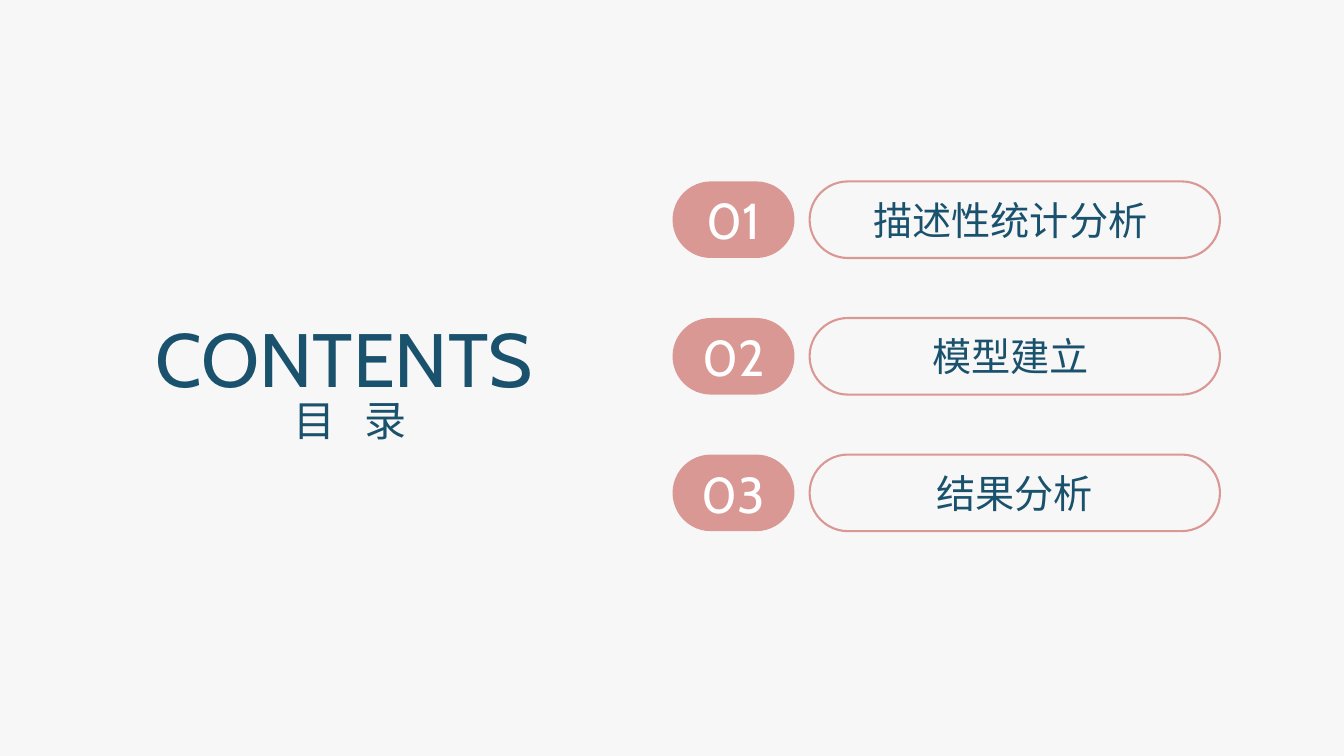
from dataclasses import dataclass

from pptx import Presentation
from pptx.dml.color import RGBColor
from pptx.enum.shapes import MSO_SHAPE
from pptx.enum.text import MSO_ANCHOR, PP_ALIGN
from pptx.util import Inches, Pt

ROUNDED = MSO_SHAPE.ROUNDED_RECTANGLE
CENTER = PP_ALIGN.CENTER
MIDDLE = MSO_ANCHOR.MIDDLE
TOP = MSO_ANCHOR.TOP


@dataclass(frozen=True)
class Theme:
    font: str = "Cabin"
    background: RGBColor = RGBColor(0xF7, 0xF7, 0xF7)
    pink: RGBColor = RGBColor(0xD9, 0x98, 0x94)
    navy: RGBColor = RGBColor(0x1A, 0x52, 0x6D)
    white: RGBColor = RGBColor(0xFF, 0xFF, 0xFF)
    title_size: int = 54
    number_size: int = 36
    subtitle_size: int = 30
    entry_size: int = 28
    outline_width: float = 1.5


THEME = Theme()
ENTRIES = ["描述性统计分析 ", "模型建立 ", "结果分析"]
FIRST_TOP = 1.8
ROW_PITCH = 1.355
PILL_HEIGHT = 0.76


def write_text(shape, text, *, size, color=THEME.navy, anchor=MIDDLE, spacing=0):
    """Fill a shape with one centred line; spacing is extra points per letter."""
    frame = shape.text_frame
    frame.word_wrap = True
    frame.vertical_anchor = anchor
    paragraph = frame.paragraphs[0]
    paragraph.alignment = CENTER
    run = paragraph.add_run()
    run.text = text
    run.font.name = THEME.font
    run.font.size = Pt(size)
    run.font.color.rgb = color
    if spacing:
        run.font._element.set("spc", str(spacing * 100))


def add_pill(group, left, top, width, *, filled):
    pill = group.shapes.add_shape(
        ROUNDED, Inches(left), Inches(top), Inches(width), Inches(PILL_HEIGHT)
    )
    pill.adjustments[0] = 0.5
    pill.shadow.inherit = False
    if filled:
        pill.fill.solid()
        pill.fill.fore_color.rgb = THEME.pink
        pill.line.fill.background()
    else:
        pill.fill.background()
        pill.line.color.rgb = THEME.pink
        pill.line.width = Pt(THEME.outline_width)
    return pill


def add_entry(slide, index, label):
    """Add one numbered row of the contents list."""
    group = slide.shapes.add_group_shape()
    top = FIRST_TOP + index * ROW_PITCH
    number = add_pill(group, 6.67, top, 1.21, filled=True)
    write_text(number, f"{index + 1:02d}", size=THEME.number_size, color=THEME.white)
    outline = add_pill(group, 8.03, top, 4.07, filled=False)
    write_text(outline, label, size=THEME.entry_size)


def add_heading(group, text, left, top, width, height, **text_format):
    box = group.shapes.add_textbox(
        Inches(left), Inches(top), Inches(width), Inches(height)
    )
    write_text(box, text, anchor=TOP, **text_format)


def main():
    presentation = Presentation()
    presentation.slide_width = Inches(13.33)
    presentation.slide_height = Inches(7.5)
    slide = presentation.slides.add_slide(presentation.slide_layouts[6])
    slide.background.fill.solid()
    slide.background.fill.fore_color.rgb = THEME.background

    for index, label in enumerate(ENTRIES):
        add_entry(slide, index, label)

    headings = slide.shapes.add_group_shape()
    add_heading(headings, "CONTENTS", 1.01, 3.04, 4.81, 1.01, size=THEME.title_size)
    add_heading(
        headings, "目 录", 1.98, 3.86, 2.98, 0.61, size=THEME.subtitle_size, spacing=7
    )
    presentation.save("out.pptx")


if __name__ == "__main__":
    main()
